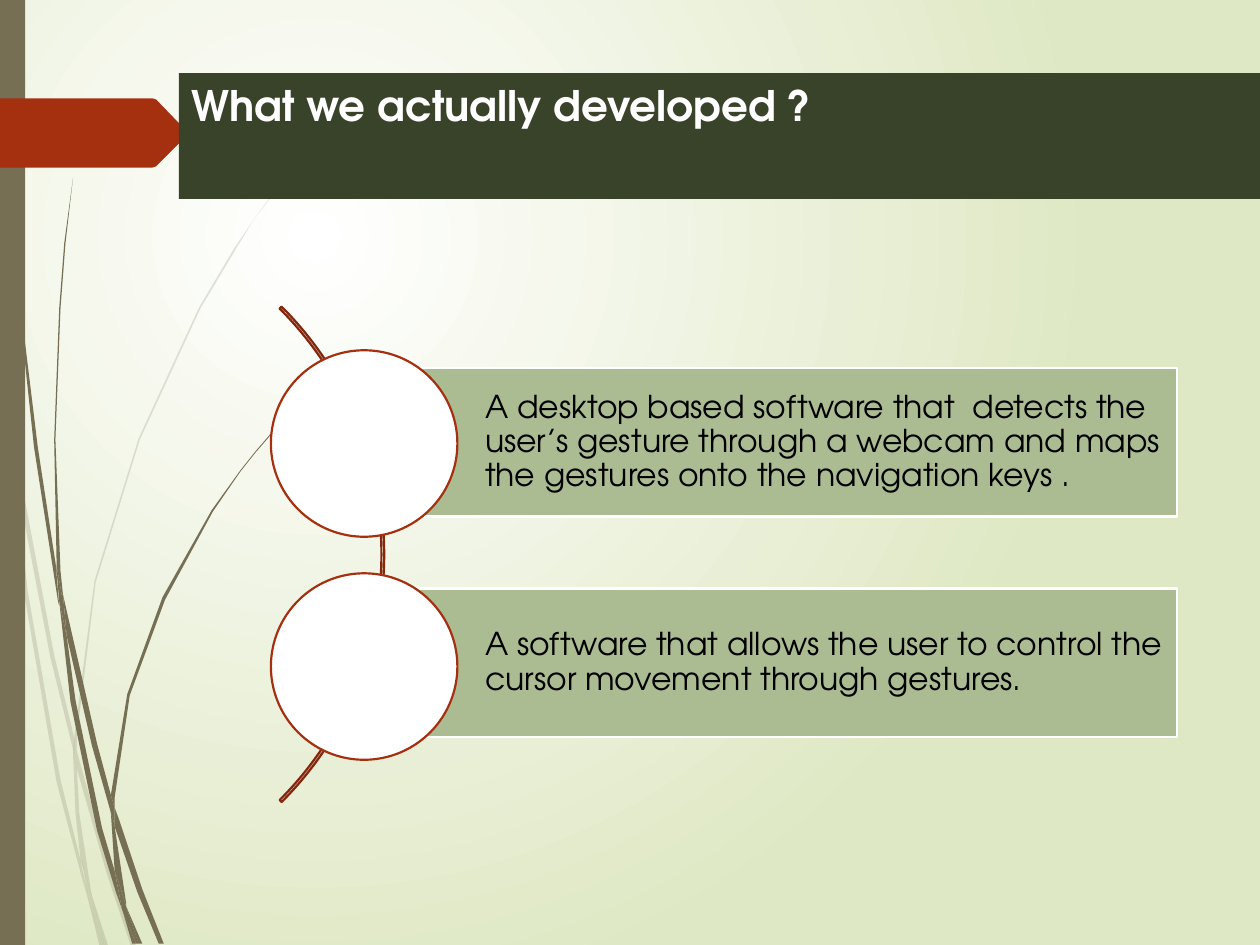
from lxml import etree
from pptx import Presentation
from pptx.dml.color import RGBColor
from pptx.enum.shapes import MSO_SHAPE
from pptx.enum.text import MSO_ANCHOR, PP_ALIGN
from pptx.oxml.ns import qn
from pptx.util import Inches, Pt

RECT, OVAL, ARC = MSO_SHAPE.RECTANGLE, MSO_SHAPE.OVAL, MSO_SHAPE.BLOCK_ARC
TOP, MIDDLE, LEFT = MSO_ANCHOR.TOP, MSO_ANCHOR.MIDDLE, PP_ALIGN.LEFT

OLIVE, RUST, DARK_RUST = "766F54", "A53010", "84260D"
FOREST, SAGE, PALE, WHITE, BLACK = "39432A", "ACBC92", "DFE8C4", "FFFFFF", "000000"

FAINT_BLADES = [
    "0.08,3.5 0.06,3.22 0,2.82 0,2.99 0.07,3.44",
    "0.4,5.22 0.59,5.99 0.59,5.86 0.43,5.2 0.1,3.45 0.12,3.76",
    "0.64,6.07 0.61,5.96 0.61,6.1 0.85,6.94 1.04,7.51 1.08,7.51 0.88,6.92",
    "0.83,7.51 0.86,7.51 0.73,7.11",
    "0.64,6.83 0.48,6.19 0.22,4.69 0.12,3.76 0.08,3.5 0.19,4.7 0.45,6.21 "
    "0.64,6.93 0.7,7.14 0.69,7.07",
    "0.58,5.99 0.6,6.46 0.64,6.83 0.67,6.92 0.73,7.11 0.72,7.06 0.63,6.46 "
    "0.61,6.1 0.61,6.08",
    "0.61,5.84 0.76,4.62 1.11,3.49 1.59,2.45 1.87,1.98 2.01,1.75 2.17,1.54 "
    "2.17,1.53 2.01,1.75 1.86,1.97 1.58,2.44 1.1,3.48 0.75,4.61 0.59,5.84 "
    "0.59,5.86 0.61,5.96",
    "0.7,7.14 0.79,7.51 0.82,7.51",
    "0.61,6.08 0.61,6.1 0.61,5.96 0.59,5.86 0.58,5.99",
    "0.67,6.92 0.65,6.83 0.69,7.07 0.7,7.14 0.82,7.51 0.83,7.51 0.73,7.11",
]
SOLID_BLADES = [
    "0.05,1.1 0.14,2.33 0.27,3.55 0.46,4.77 0.47,4.81 0.45,4.57 0.45,4.53 "
    "0.3,3.55 0.15,2.32 0.06,1.09 0.04,0.48 0.03,0 0.02,0 0.03,0.48",
    "0.73,5.92 0.88,6.45 0.88,6.33 0.88,6.31 0.77,5.9 0.5,4.72 0.53,5.05",
    "0.94,6.49 0.91,6.41 0.91,6.56 1.09,7.08 1.26,7.49 1.3,7.49 1.13,7.06",
    "0.91,6.91 0.81,6.57 0.6,5.56 0.53,5.05 0.47,4.77 0.56,5.57 0.77,6.59 "
    "0.92,7.08 0.97,7.22 0.96,7.17",
    "0.5,4.72 0.48,4.53 0.44,3.49 0.48,2.45 0.52,1.93 0.58,1.41 0.51,1.93 "
    "0.47,2.45 0.43,3.49 0.45,4.49 0.49,4.72",
    "1.1,7.49 1.13,7.49 1,7.19",
    "0.47,4.77 0.53,5.05 0.5,4.72 0.49,4.72 0.45,4.49 0.45,4.53",
    "0.91,6.33 1.03,5.52 1.31,4.76 1.69,4.06 1.91,3.74 2.03,3.59 2.16,3.44 "
    "2.15,3.44 2.03,3.58 1.91,3.73 1.68,4.05 1.29,4.74 1.01,5.51 0.88,6.31 "
    "0.91,6.41",
    "0.97,7.22 1.05,7.49 1.08,7.49",
    "0.88,6.45 0.91,6.91 0.96,7.06 1,7.19 1,7.16 0.91,6.56 0.9,6.51",
    "0.88,6.45 0.9,6.51 0.91,6.56 0.91,6.41 0.88,6.31 0.88,6.33",
    "0.96,7.06 0.91,6.91 0.96,7.17 0.97,7.22 1.08,7.49 1.1,7.49 1,7.19",
]
ARROW = "1.5,1.06 1.24,1.32 1.21,1.33 0,1.33 0,0.78 1.21,0.78 1.24,0.79"

FEATURES = [
    "A desktop based software that  detects the user’s gesture through a webcam "
    "and maps the gestures onto the navigation keys .",
    "A software that allows the user to control the cursor movement through gestures.",
]


def rgb(value):
    return RGBColor.from_string(value)


def write(shape, text, size=18, color=BLACK, bold=False, anchor=MIDDLE, left=0.1, right=0.1,
          spacing=1.0):
    frame = shape.text_frame
    frame.word_wrap = True
    frame.vertical_anchor = anchor
    frame.margin_left, frame.margin_right = Inches(left), Inches(right)
    frame.margin_top = frame.margin_bottom = Inches(0.05)
    paragraph = frame.paragraphs[0]
    paragraph.alignment = LEFT
    paragraph.line_spacing = spacing
    run = paragraph.add_run()
    run.text = text
    run.font.name = Deck.font
    run.font.size = Pt(size)
    run.font.bold = bold
    run.font.color.rgb = rgb(color)


class Deck:
    font = "TeX Gyre Adventor"
    line_width = 1.25

    def __init__(self, width, height):
        self.presentation = Presentation()
        self.presentation.slide_width = Inches(width)
        self.presentation.slide_height = Inches(height)
        self.slide = self.presentation.slides.add_slide(self.presentation.slide_layouts[6])

    def glow(self, inner, outer):
        fill = self.slide.background.fill
        fill.gradient()
        for stop, color, position in zip(fill.gradient_stops, (inner, outer), (0, 1)):
            stop.color.rgb = rgb(color)
            stop.position = position
        gradient = self.slide.element.find(".//" + qn("a:gradFill"))
        gradient.remove(gradient.find(qn("a:lin")))
        circle = etree.SubElement(gradient, qn("a:path"), path="circle")
        etree.SubElement(circle, qn("a:fillToRect"), l="50000", t="50000", r="100000", b="100000")

    def style(self, shape, fill=None, line=None, opacity=None):
        shape.shadow.inherit = False
        if fill:
            shape.fill.solid()
            shape.fill.fore_color.rgb = rgb(fill)
        else:
            shape.fill.background()
        if opacity:
            color = shape.element.spPr.find(qn("a:solidFill")).find(qn("a:srgbClr"))
            etree.SubElement(color, qn("a:alpha"), val=str(opacity * 1000))
        if line:
            shape.line.color.rgb = rgb(line)
            shape.line.width = Pt(self.line_width)
        else:
            shape.line.fill.background()
        return shape

    def shape(self, kind, left, top, width, height, **look):
        box = [Inches(length) for length in (left, top, width, height)]
        return self.style(self.slide.shapes.add_shape(kind, *box), **look)

    def outline(self, corners, parent=None, **look):
        points = [tuple(Inches(float(n)) for n in pair.split(",")) for pair in corners.split()]
        shapes = parent.shapes if parent else self.slide.shapes
        builder = shapes.build_freeform(*points[0])
        builder.add_line_segments(points[1:], close=True)
        return self.style(builder.convert_to_shape(), **look)

    def grass(self, blades, **look):
        tuft = self.slide.shapes.add_group_shape()
        for blade in blades:
            self.outline(blade, tuft, **look)


deck = Deck(10, 7.5)
deck.glow(WHITE, PALE)
deck.grass(FAINT_BLADES, fill=OLIVE, opacity=20)
deck.grass(SOLID_BLADES, fill=OLIVE)
deck.shape(RECT, 0, 0, 0.2, 7.5, fill=OLIVE)
deck.outline(ARROW, fill=RUST)

title = deck.shape(RECT, 1.42, 0.58, 8.58, 1, fill=FOREST)
write(title, "What we actually developed ?", size=24, color=WHITE, bold=True, anchor=TOP)

spine = deck.shape(ARC, -2.51, 1.62, 5.56, 5.56, line=DARK_RUST)
for index, value in enumerate((189, 27, 0.004)):
    spine.adjustments[index] = value

for row, feature in enumerate(FEATURES):
    bar = deck.shape(RECT, 2.91, 2.92 + 1.75 * row, 6.43, 1.18, fill=SAGE, line=WHITE)
    write(bar, feature, left=0.94, right=0.05, spacing=0.9)
    deck.shape(OVAL, 2.15, 2.78 + 1.77 * row, 1.48, 1.48, fill=WHITE, line=RUST)

deck.presentation.save("out.pptx")
